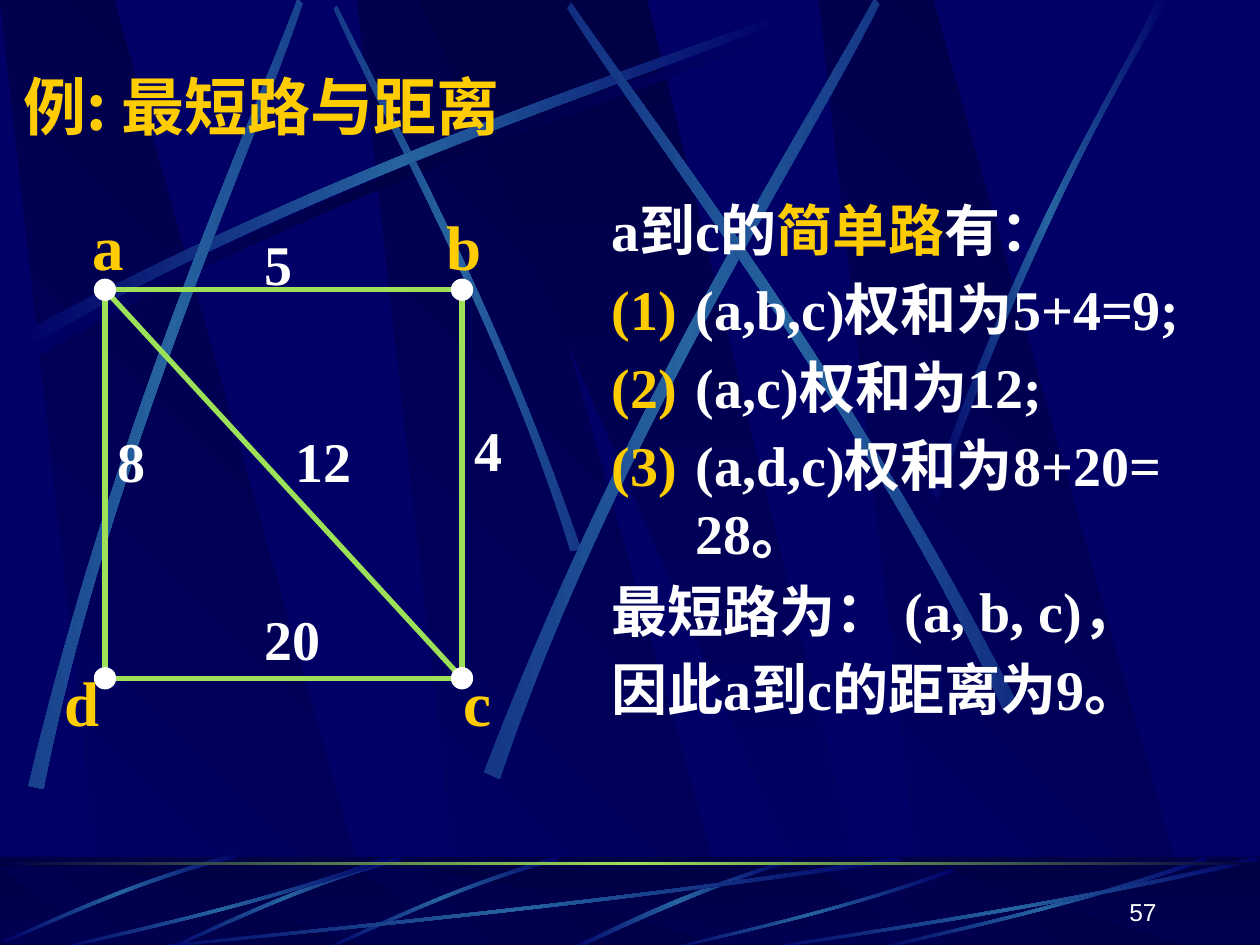
from copy import deepcopy
from dataclasses import dataclass
from lxml import etree
from pptx import Presentation
from pptx.dml.color import RGBColor
from pptx.enum import shapes, text
from pptx.oxml import ns
from pptx import util as u

COLS, ROWS = 120, 90
WIDE, HIGH = u.Inches(10), u.Inches(7.5)
NAVY = RGBColor(0x00, 0x00, 0x66)
DARK = RGBColor(0x00, 0x00, 0x44)
BLUE = RGBColor(0x26, 0x63, 0xA0)
LIME = RGBColor(0x9C, 0xE1, 0x57)
GOLD = RGBColor(0xFF, 0xCC, 0x00)
WHITE = RGBColor(0xFF, 0xFF, 0xFF)
SERIF, HAN, SANS = "Times New Roman", "Noto Sans CJK SC", "Arial"

BEAM = ((0.28, 1), (1, 1), (0.3, 0), (0, 0))
WEDGE = ((0, 0), (0.9, 1), (1, 1), (0.5, 0))
ARC = ((0, 0.96), (0.43, 0.43), (0.83, 0.15), (1, 0),
       (1, 0.02), (0.83, 0.19), (0.38, 0.5), (0.01, 1))
HORN = ((0, 0.99), (0.4, 0.44), (0.79, 0.17), (0.95, 0),
        (1, 0), (0.52, 0.37), (0.16, 0.81), (0.03, 1))
REED = ((1, 0), (0.49, 0.37), (0.16, 0.82), (0, 0.99),
        (0.03, 1), (0.23, 0.77), (0.68, 0.25), (1, 0.04))


@dataclass(frozen=True)
class Box:
    x: float
    y: float
    w: float
    h: float

    def emu(self) -> tuple:
        return across(self.x), down(self.y), across(self.w), down(self.h)


@dataclass(frozen=True)
class Streak:
    box: Box
    turn: float = 0
    flip: bool = False
    form: tuple = ARC
    glow: RGBColor = BLUE


@dataclass(frozen=True)
class Label:
    word: str
    box: Box
    size: int = 32
    color: RGBColor = WHITE


SKY = (
    Streak(Box(2.4, 2.2, 73, 32), glow=DARK),
    Streak(Box(16.9, 16.2, 53, 21), 45, True),
    Streak(Box(1.7, 1.2, 73, 32)),
    Streak(Box(-20.5, 21.8, 73, 32), 311.7),
    Streak(Box(27.7, 19.2, 74.9, 36.1), 321.6),
    Streak(Box(38.8, 18.2, 73, 32), 34.7, True),
    Streak(Box(88.6, 0, 22.7, 47.6), form=HORN),
)
GROUND = (
    Streak(Box(53.8, 81.8, 21.6, 8.8), form=REED),
    Streak(Box(31, 81.1, 22.1, 10), 315, True),
    Streak(Box(16, 81.1, 22.1, 10), 315, True),
    Streak(Box(0.6, 80.5, 21.6, 10.2), 315, True),
    Streak(Box(12, 81.6, 74, 9), 180),
    Streak(Box(5, 81.6, 32, 9), 180),
    Streak(Box(63.2, 82.7, 27.7, 7.9), 180),
    Streak(Box(83, 81.6, 32, 9), 180),
    Streak(Box(72, 81.6, 48, 9), 180),
)
FLOOR = Box(0, 81.6, 120, 9)
GRAPH = Box(10, 27.6, 34, 37)
LABELS = (
    Label("a", Box(7.6, 19.2, 5.4, 8.4), 36, GOLD),
    Label("b", Box(41.3, 19.2, 5.8, 8.4), 36, GOLD),
    Label("c", Box(43, 62.6, 5, 8.4), 36, GOLD),
    Label("d", Box(5, 62.6, 5.8, 8.4), 36, GOLD),
    Label("5", Box(24, 21.27, 5, 7.6)),
    Label("12", Box(27, 40, 7.8, 7.6)),
    Label("4", Box(44, 39, 5, 7.6)),
    Label("8", Box(10, 40, 5, 7.6)),
    Label("20", Box(24, 57, 7.8, 7.6)),
)
BODY = (
    (False, (("a到c的", WHITE), ("简单路", GOLD), ("有：", WHITE))),
    (True, (("(a,b,c)权和为5+4=9;", WHITE),)),
    (True, (("(a,c)权和为12;", WHITE),)),
    (True, (("(a,d,c)权和为8+20= 28。", WHITE),)),
    (False, (("最短路为： (a, b, c)，", WHITE),)),
    (False, (("因此a到c的距离为9。", WHITE),)),
)


def across(n: float) -> int:
    return round(WIDE * n / COLS)


def down(n: float) -> int:
    return round(HIGH * n / ROWS)


def blend(shape, tints: tuple, angle: int) -> None:
    shape.shadow.inherit = False
    shape.line.fill.background()
    shape.fill.gradient()
    shape.fill.gradient_angle = -angle % 360
    stops = shape.element.spPr.find(".//" + ns.qn("a:gsLst"))
    stops.getparent().set("rotWithShape", "0")
    first = deepcopy(stops[0])
    for stop in list(stops):
        stops.remove(stop)
    for _ in tints:
        stops.append(deepcopy(first))
    for i, (stop, tint) in enumerate(zip(shape.fill.gradient_stops, tints)):
        stop.color.rgb = tint
        stop.position = i / (len(tints) - 1)


def plain(shape, tint: RGBColor) -> None:
    shape.shadow.inherit = False
    shape.fill.solid()
    shape.fill.fore_color.rgb = tint


def outline(slide, box: Box, points):
    spots = [(across(box.x + x * box.w), down(box.y + y * box.h)) for x, y in points]
    pen = slide.shapes.build_freeform(*spots[0])
    pen.add_line_segments(spots[1:], close=True)
    return pen.convert_to_shape()


def bend(shape) -> None:
    legs = shape.element.spPr.findall(".//" + ns.qn("a:lnTo"))
    for trio in (legs[:3], legs[4:7]):
        arc = etree.Element(ns.qn("a:cubicBezTo"))
        trio[0].addprevious(arc)
        for leg in trio:
            arc.append(leg[0])
            leg.getparent().remove(leg)


def sweep(slide, item: Streak) -> None:
    points = [(1 - x if item.flip else x, y) for x, y in item.form]
    shape = outline(slide, item.box, points)
    bend(shape)
    shape.rotation = item.turn
    blend(shape, (NAVY, item.glow, NAVY), 0)


def beams(slide, top: float, high: float) -> None:
    for x in (34, 0, 78):
        blend(outline(slide, Box(x, top, 36.2, high), BEAM), (NAVY, DARK), 315)
    blend(outline(slide, Box(40, top, 43.3, high), WEDGE), (DARK, NAVY), 90)


def block(slide, box: Box, kind=shapes.MSO_SHAPE.RECTANGLE):
    return slide.shapes.add_shape(kind, *box.emu())


def scene(slide) -> None:
    beams(slide, 0, 90.2)
    for item in SKY:
        sweep(slide, item)
    blend(block(slide, FLOOR), (DARK, NAVY), 90)
    beams(slide, 82.6, 7.9)
    veil = block(slide, FLOOR)
    plain(veil, DARK)
    veil.line.fill.background()
    tint = veil.element.spPr.find(".//" + ns.qn("a:srgbClr"))
    etree.SubElement(tint, ns.qn("a:alpha"), val="50000")
    for item in GROUND:
        sweep(slide, item)
    blend(block(slide, Box(0, 82.1, 120, 0.24)), (DARK, LIME, DARK), 0)


def number(para) -> None:
    props = para._p.get_or_add_pPr()
    color = etree.SubElement(props, ns.qn("a:buClr"))
    etree.SubElement(color, ns.qn("a:srgbClr"), val=str(GOLD))
    etree.SubElement(props, ns.qn("a:buAutoNum"), type="arabicParenBoth")


def write(para, words: str, *, size: int = 32, color: RGBColor = WHITE,
          face: str = SERIF, bold: bool = True) -> None:
    run = para.add_run()
    run.text = words
    run.font.size, run.font.bold, run.font.name = u.Pt(size), bold, face
    run.font.color.rgb = color
    etree.SubElement(run._r.get_or_add_rPr(), ns.qn("a:ea"), typeface=HAN)


def frame(slide, box: Box, wrap: bool = True, anchor=text.MSO_ANCHOR.TOP):
    area = slide.shapes.add_textbox(*box.emu()).text_frame
    area.word_wrap, area.vertical_anchor = wrap, anchor
    return area


def graph(slide) -> None:
    left, top, wide, high = GRAPH.emu()
    square = block(slide, GRAPH)
    square.shadow.inherit = False
    square.fill.background()
    cross = slide.shapes.add_connector(
        shapes.MSO_CONNECTOR.STRAIGHT, left, top, left + wide, top + high)
    etree.SubElement(cross.element.spPr, ns.qn("a:effectLst"))
    for edge in (square, cross):
        edge.line.color.rgb, edge.line.width = LIME, u.Pt(3)
    for x in (GRAPH.x, GRAPH.x + GRAPH.w):
        for y in (GRAPH.y, GRAPH.y + GRAPH.h):
            dot = block(slide, Box(x - 1, y - 1, 2, 2), shapes.MSO_SHAPE.OVAL)
            plain(dot, WHITE)
            dot.line.color.rgb, dot.line.width = WHITE, u.Pt(0.75)
    for tag in LABELS:
        area = frame(slide, tag.box, wrap=False)
        write(area.paragraphs[0], tag.word, size=tag.size, color=tag.color)


def body(slide) -> None:
    area = frame(slide, Box(57.06, 18.04, 59, 58))
    for i, (listed, parts) in enumerate(BODY):
        para = area.add_paragraph() if i else area.paragraphs[0]
        props = para._p.get_or_add_pPr()
        props.set("marL", str(across(8)))
        props.set("indent", str(-across(8)))
        if listed:
            number(para)
        if i:
            para.space_before = u.Pt(6.4)
        for words, color in parts:
            write(para, words, color=color)


def main() -> None:
    deck = Presentation()
    deck.slide_width, deck.slide_height = WIDE, HIGH
    slide = deck.slides.add_slide(deck.slide_layouts[6])
    slide.background.fill.solid()
    slide.background.fill.fore_color.rgb = NAVY
    scene(slide)
    head = frame(slide, Box(1.06, 5.8, 107, 8.5), anchor=text.MSO_ANCHOR.MIDDLE)
    write(head.paragraphs[0], "例: 最短路与距离", size=36, color=GOLD, face=HAN)
    body(slide)
    graph(slide)
    foot = frame(slide, Box(86.34, 82.8, 25, 6), anchor=text.MSO_ANCHOR.BOTTOM)
    foot.paragraphs[0].alignment = text.PP_ALIGN.RIGHT
    write(foot.paragraphs[0], "57", size=14, face=SANS, bold=False)
    deck.save("out.pptx")


if __name__ == "__main__":
    main()
